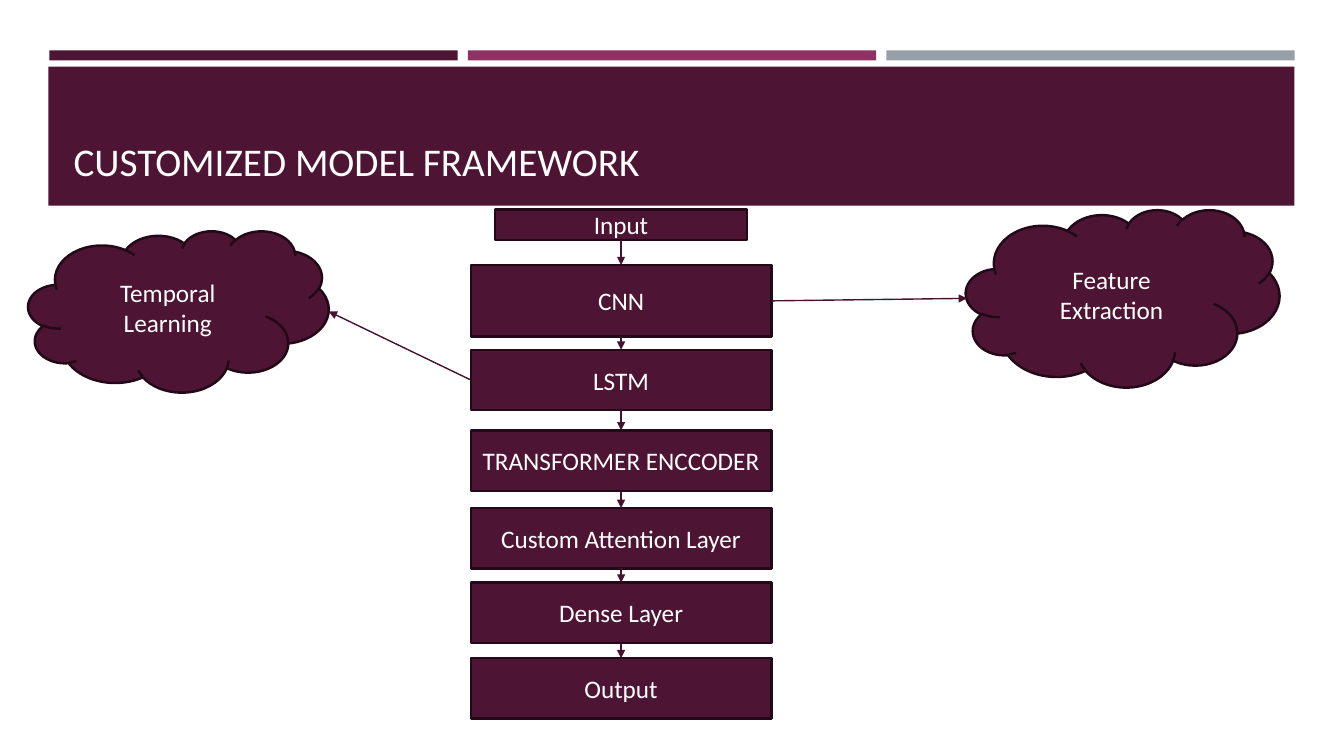
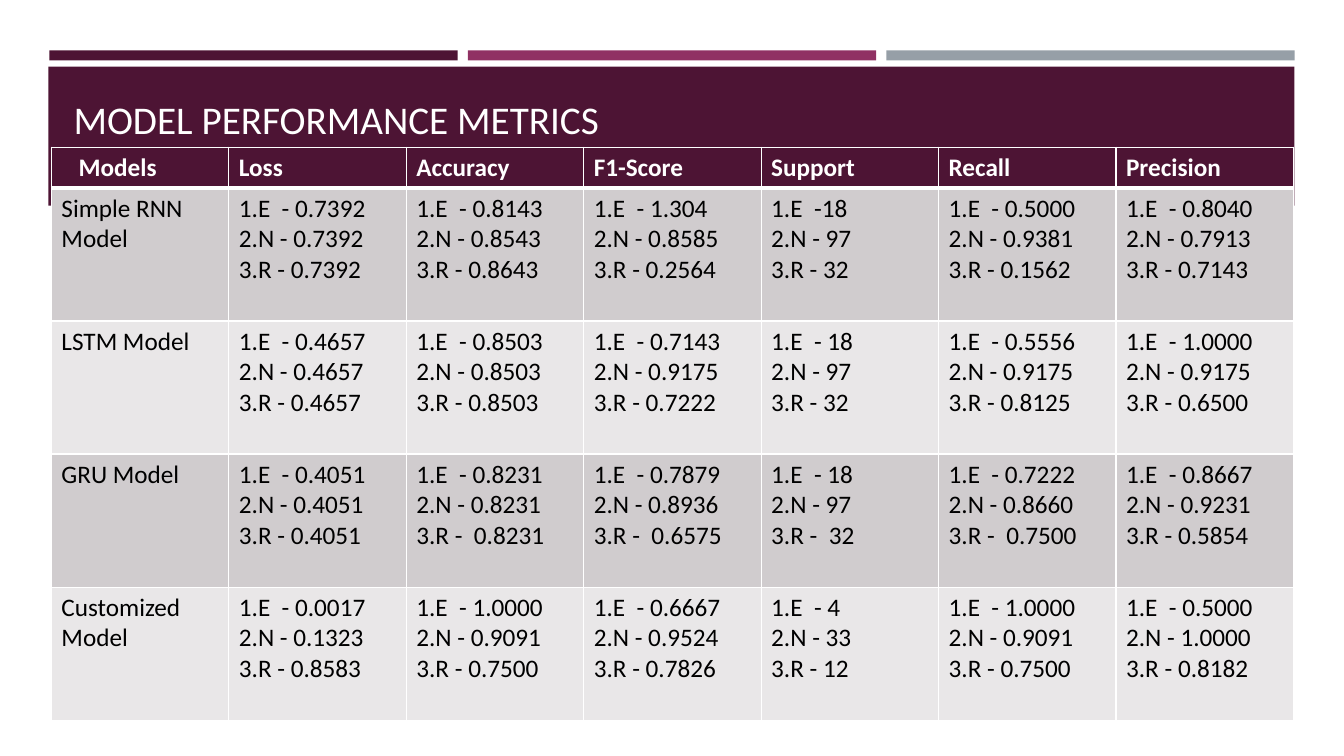
"""Build two slides on a custom model: its layer framework and its performance metrics."""
import lxml.etree
import pptx
import pptx.dml.color
import pptx.enum.shapes
import pptx.enum.text
import pptx.oxml.ns
import pptx.util

Inches = pptx.util.Inches
Pt = pptx.util.Pt
RGB = pptx.dml.color.RGBColor.from_string
qn = pptx.oxml.ns.qn
SHAPE = pptx.enum.shapes.MSO_SHAPE
ANCHOR = pptx.enum.text.MSO_ANCHOR
ALIGN = pptx.enum.text.PP_ALIGN

LAYERS = [
    ("Input", 2.08, 2.5, 0.3),
    ("CNN", 2.63, 2.98, 0.71),
    ("LSTM", 3.47, 2.98, 0.6),
    ("TRANSFORMER ENCCODER", 4.27, 2.98, 0.6),
    ("Custom Attention Layer", 5.04, 2.98, 0.6),
    ("Dense Layer", 5.78, 2.98, 0.6),
    ("Output", 6.53, 2.98, 0.6),
]

METRICS = [
    ["Models", "Loss", "Accuracy", "F1-Score", "Support", "Recall", "Precision"],
    ["Simple RNN Model",
     "1.E  - 0.7392\n2.N - 0.7392\n3.R - 0.7392",
     "1.E  - 0.8143\n2.N - 0.8543\n3.R - 0.8643",
     "1.E  - 1.304\n2.N - 0.8585\n3.R - 0.2564",
     "1.E  -18\n2.N - 97\n3.R - 32",
     "1.E  - 0.5000\n2.N - 0.9381\n3.R - 0.1562",
     "1.E  - 0.8040\n2.N - 0.7913\n3.R - 0.7143"],
    ["LSTM Model",
     "1.E  - 0.4657\n2.N - 0.4657\n3.R - 0.4657",
     "1.E  - 0.8503\n2.N - 0.8503\n3.R - 0.8503",
     "1.E  - 0.7143\n2.N - 0.9175\n3.R - 0.7222",
     "1.E  - 18\n2.N - 97\n3.R - 32",
     "1.E  - 0.5556\n2.N - 0.9175\n3.R - 0.8125",
     "1.E  - 1.0000\n2.N - 0.9175\n3.R - 0.6500"],
    ["GRU Model",
     "1.E  - 0.4051\n2.N - 0.4051\n3.R - 0.4051",
     "1.E  - 0.8231\n2.N - 0.8231\n3.R -  0.8231",
     "1.E  - 0.7879\n2.N - 0.8936\n3.R -  0.6575",
     "1.E  - 18\n2.N - 97\n3.R -  32",
     "1.E  - 0.7222\n2.N - 0.8660\n3.R -  0.7500",
     "1.E  - 0.8667\n2.N - 0.9231\n3.R - 0.5854"],
    ["Customized Model",
     "1.E  - 0.0017\n2.N - 0.1323\n3.R - 0.8583",
     "1.E  - 1.0000\n2.N - 0.9091\n3.R - 0.7500",
     "1.E  - 0.6667\n2.N - 0.9524\n3.R - 0.7826",
     "1.E  - 4\n2.N - 33\n3.R - 12",
     "1.E  - 1.0000\n2.N - 0.9091\n3.R - 0.7500",
     "1.E  - 0.5000\n2.N - 1.0000\n3.R - 0.8182"],
]


class Deck:
    """Hold the shared style and the current slide."""

    colors = {"plum": "4D1434", "magenta": "903163", "gray": "969FA7", "outline": "220917",
              "arrow": "45122F", "white": "FFFFFF", "black": "000000",
              "dark_row": "D0CCCE", "light_row": "E9E7E8"}
    title_font = {"name": "Calibri", "size": Pt(28), "bold": False}
    body_font = {"name": "Calibri", "size": Pt(18), "bold": False}
    head_font = {**body_font, "bold": True}
    title_frame = {"vertical_anchor": ANCHOR.BOTTOM, "word_wrap": True,
                   "auto_size": pptx.enum.text.MSO_AUTO_SIZE.NONE}
    shape_frame = {"vertical_anchor": ANCHOR.MIDDLE, "word_wrap": True}

    def __init__(self):
        """Open a wide presentation with an undecorated title layout."""
        self.prs = pptx.Presentation()
        self.prs.slide_width, self.prs.slide_height = Inches(13.33), Inches(7.5)
        self.layout = self.prs.slide_layouts[5]
        self.s = None

    def rgb(self, name):
        """Return the named colour."""
        return RGB(self.colors[name])

    def apply(self, target, values):
        """Set each attribute in values on target."""
        for key, value in values.items():
            setattr(target, key, value)

    def text(self, tf, text, font, color, align=ALIGN.LEFT):
        """Fill a text frame with formatted text."""
        tf.text = text
        for p in tf.paragraphs:
            p.alignment = align
            for r in p.runs:
                self.apply(r.font, font)
                r.font.color.rgb = self.rgb(color)

    def slide(self, title, height, width):
        """Start a slide with a title, decorating the layout the first time."""
        first = self.s is None
        self.s = self.prs.slides.add_slide(self.layout)
        if first:
            self.bands()
        sp = self.s.shapes.title
        self.apply(sp, {"left": Inches(0.63), "top": Inches(0.8),
                        "width": Inches(width), "height": Inches(height)})
        self.apply(sp.text_frame, self.title_frame)
        self.text(sp.text_frame, title, self.title_font, "white")

    def bands(self):
        """Put the three strips and the title band on the layout."""
        bands = [(0.49 + i * 4.15, 0.5, 4.05, 0.1, color)
                 for i, color in enumerate(("plum", "magenta", "gray"))]
        bands.append((0.48, 0.66, 12.36, 1.38, "plum"))
        for i, (x, y, w, h, color) in enumerate(bands):
            sp = self.shape(SHAPE.RECTANGLE, x, y, w, h, fill=color)
            sp.element.nvSpPr.cNvPr.set("id", str(100 + i))
            self.layout.shapes.element.insert(2 + i, sp.element)

    def shape(self, kind, x, y, w, h, text="", fill="plum", line=None):
        """Add a filled preset shape with centred text."""
        sp = self.s.shapes.add_shape(kind, Inches(x), Inches(y), Inches(w), Inches(h))
        sp.shadow.inherit = False
        sp.fill.solid()
        sp.fill.fore_color.rgb = self.rgb(fill)
        if line:
            sp.line.color.rgb = self.rgb(line)
            sp.line.width = Pt(1.75)
        else:
            sp.line.fill.background()
        self.apply(sp.text_frame, self.shape_frame)
        self.text(sp.text_frame, text, self.body_font, "white", ALIGN.CENTER)
        return sp

    def arrow(self, start, site, end):
        """Draw an arrow from a shape's side to a point or to the top of a shape."""
        x, y = (0, 0) if hasattr(end, "shape_id") else end
        c = self.s.shapes.add_connector(pptx.enum.shapes.MSO_CONNECTOR.STRAIGHT,
                                        0, 0, Inches(x), Inches(y))
        c.begin_connect(start, site)
        if hasattr(end, "shape_id"):
            c.end_connect(end, 0)
        c.line.color.rgb = self.rgb("arrow")
        c.line.width = Pt(1)
        spPr = c.element.spPr
        lxml.etree.SubElement(spPr.find(qn("a:ln")), qn("a:tailEnd"), type="triangle")
        lxml.etree.SubElement(spPr, qn("a:effectLst"))

    def borders(self, cell, widths):
        """Give a cell white borders, with widths in points by side."""
        tcPr = cell._tc.get_or_add_tcPr()
        for i, (side, width) in enumerate(widths.items()):
            ln = lxml.etree.Element(qn("a:ln" + side), w=str(Pt(width)))
            fill = lxml.etree.SubElement(ln, qn("a:solidFill"))
            lxml.etree.SubElement(fill, qn("a:srgbClr"), val=self.colors["white"])
            tcPr.insert(i, ln)

    def table(self, rows, x, y, col_width, head_height, row_height):
        """Add a table with a dark header and alternating row fills."""
        height = head_height + row_height * (len(rows) - 1)
        table = self.s.shapes.add_table(len(rows), len(rows[0]), Inches(x), Inches(y),
                                        Inches(col_width * len(rows[0])), Inches(height)).table
        for col in table.columns:
            col.width = Inches(col_width)
        for i, row in enumerate(rows):
            head = i == 0
            table.rows[i].height = Inches(head_height if head else row_height)
            fill = "plum" if head else ("light_row", "dark_row")[i % 2]
            font, color = (self.head_font, "white") if head else (self.body_font, "black")
            for j, text in enumerate(row):
                cell = table.cell(i, j)
                cell.fill.solid()
                cell.fill.fore_color.rgb = self.rgb(fill)
                self.text(cell.text_frame, text, font, color)
                self.borders(cell, {"L": 1, "R": 1, "T": 3 if i == 1 else 1,
                                    "B": 3 if head else 1})
        return table


def main():
    """Build both slides and save them."""
    deck = Deck()

    deck.slide("CUSTOMIZED MODEL FRAMEWORK", 1.08, 12.06)
    center = 6.16
    boxes = {name: deck.shape(SHAPE.RECTANGLE, center - w / 2, y, w, h, name, line="outline")
             for name, y, w, h in LAYERS}
    stack = list(boxes.values())
    for upper, lower in zip(stack, stack[1:]):
        deck.arrow(upper, 2, lower)
    deck.shape(SHAPE.CLOUD, 9.58, 2.08, 3.11, 1.76, "Feature Extraction", line="outline")
    deck.shape(SHAPE.CLOUD, 0.28, 2.29, 2.98, 1.6, "Temporal Learning", line="outline")
    deck.arrow(boxes["CNN"], 3, (9.59, 2.96))
    deck.arrow(boxes["LSTM"], 1, (3.26, 3.09))

    deck.slide("MODEL PERFORMANCE METRICS", 0.66, 11.99)
    table = deck.table(METRICS, 0.51, 1.46, 1.76, 0.4, 1.32)
    table.cell(0, 0).margin_left = Inches(0.27)

    deck.prs.save("out.pptx")


if __name__ == "__main__":
    main()
